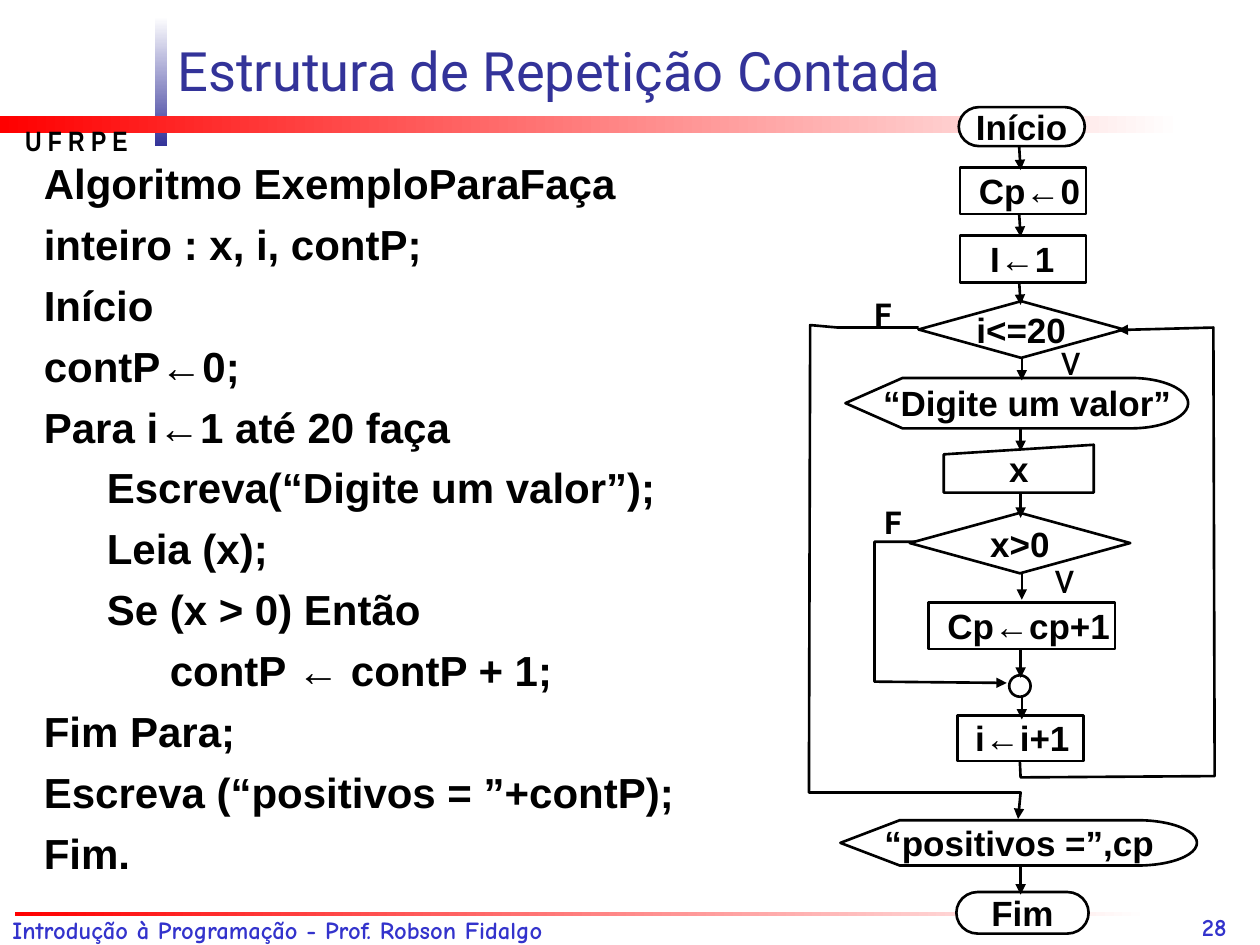
from lxml.etree import SubElement
from pptx import Presentation
from pptx.dml.color import RGBColor
from pptx.enum.shapes import MSO_CONNECTOR, MSO_SHAPE
from pptx.enum.text import MSO_ANCHOR, MSO_AUTO_SIZE, PP_ALIGN
from pptx.oxml.ns import qn
from pptx.util import Inches, Pt

# The slide is a grid of 100 columns by 75 rows
prs = Presentation()
prs.slide_width, prs.slide_height = Inches(10), Inches(7.5)
COL, ROW = prs.slide_width / 100, prs.slide_height / 75


def cols(n):
    return round(n * COL)


def rows(n):
    return round(n * ROW)


def place(x, y, w, h):
    return cols(x), rows(y), cols(w), rows(h)


def color(value):
    return RGBColor.from_string(value)


def style(p, size, font="Arial", fill="000000", bold=True):
    p.font.size, p.font.name, p.font.bold = Pt(size), font, bold
    p.font.color.rgb = color(fill)


def add_text(s, box, text, size, font="Arial", fill="000000", bold=True,
             wrap=False, anchor=MSO_ANCHOR.TOP):
    tf = s.shapes.add_textbox(*place(*box)).text_frame
    tf.word_wrap, tf.vertical_anchor = wrap, anchor
    if not wrap:
        tf.auto_size = MSO_AUTO_SIZE.SHAPE_TO_FIT_TEXT
    tf.text = text
    style(tf.paragraphs[0], size, font, fill, bold)


def add_bar(s, box, start, end, angle=0):
    sp = s.shapes.add_shape(MSO_SHAPE.RECTANGLE, *place(*box))
    sp.shadow.inherit = False
    sp.line.fill.background()
    sp.fill.gradient()
    sp.fill.gradient_angle = angle
    for stop, value in zip(sp.fill.gradient_stops, (start, end)):
        stop.color.rgb = color(value)


def arrow_line(sp):
    sp.line.color.rgb = color("000000")
    sp.line.width = Pt(1.5)
    SubElement(sp.line._get_or_add_ln(), qn("a:tailEnd"), type="triangle")


def add_arrow(s, x1, y1, x2, y2):
    sp = s.shapes.add_connector(MSO_CONNECTOR.STRAIGHT,
                                cols(x1), rows(y1), cols(x2), rows(y2))
    arrow_line(sp)
    SubElement(sp._element.spPr, qn("a:effectLst"))


def add_route(s, points):
    (x, y), *rest = [(cols(px), rows(py)) for px, py in points]
    builder = s.shapes.build_freeform(x, y)
    builder.add_line_segments(rest, close=False)
    sp = builder.convert_to_shape()
    sp.shadow.inherit = False
    sp.fill.background()
    arrow_line(sp)


def add_node(s, kind, box, text=""):
    sp = s.shapes.add_shape(kind, *place(*box))
    sp.shadow.inherit = False
    sp.fill.solid()
    sp.fill.fore_color.rgb = color("FFFFFF")
    sp.line.color.rgb = color("000000")
    sp.line.width = Pt(1.5)
    if text:
        tf = sp.text_frame
        tf.word_wrap, tf.vertical_anchor = False, MSO_ANCHOR.MIDDLE
        tf.text = text
        p = tf.paragraphs[0]
        p.alignment = PP_ALIGN.CENTER
        style(p, 20)


def header(s, x, y, w, h):
    add_bar(s, (x + 12.3, y, 1, h), "FFFFFF", "333399", 270)
    add_bar(s, (x, y + 7.9, w, 1.4), "FF0000", "FFFFFF")
    add_text(s, (x + 1, y + 8, 10.2, 3.7), "U F R P E", 16, "Arial Narrow")
    add_text(s, (x + 13.1, y + 0.5, 91.9, 6.8), "Estrutura de Repetição Contada",
             31, "Roboto", "333399", False, True, MSO_ANCHOR.BOTTOM)


def footer(s, x, y, w, h):
    look = dict(size=14, font="Comic Neue", fill="3333CC", wrap=True)
    add_text(s, (x, y + 1.9, 62.7, 3.4),
             "Introdução à Programação - Prof. Robson Fidalgo", **look)
    add_bar(s, (x + 1.2, y + 2.2, 90, 0.3), "FF0000", "FFFFFF")
    add_text(s, (x + w - 5.6, y, 8.3, h), "28", anchor=MSO_ANCHOR.BOTTOM, **look)


# Algorithm lines with their indent level
CODE = [
    (0, "Algoritmo ExemploParaFaça"), (0, "inteiro : x, i, contP;"),
    (0, "Início"), (0, "contP←0;"), (0, "Para i←1 até 20 faça"),
    (1, "Escreva(“Digite um valor”);"), (1, "Leia (x);"),
    (1, "Se (x > 0) Então"), (2, "contP ← contP + 1;"),
    (0, "Fim Para;"), (0, "Escreva (“positivos = ”+contP);"), (0, "Fim."),
]
HANGING = [(3.8, -3.8), (8.1, -3.1), (12.5, -2.5)]


def algorithm(s, *box):
    tf = s.shapes.add_textbox(*place(*box)).text_frame
    tf.word_wrap = True
    for i, (level, text) in enumerate(CODE):
        p = tf.add_paragraph() if i else tf.paragraphs[0]
        p.text, p.level, p.alignment = text, level, PP_ALIGN.JUSTIFY
        p.space_before = Pt(6)
        style(p, 24)
        margin, indent = HANGING[level]
        pPr = p._p.get_or_add_pPr()
        pPr.set("marL", str(cols(margin)))
        pPr.set("indent", str(cols(indent)))


# Flow steps: shape, box, text, caption (left, width) or None, arrow to the next
PROCESS, DECISION = MSO_SHAPE.FLOWCHART_PROCESS, MSO_SHAPE.FLOWCHART_DECISION
ENDING, DISPLAY = MSO_SHAPE.FLOWCHART_TERMINATOR, MSO_SHAPE.FLOWCHART_DISPLAY
STEPS = [
    (ENDING, (12.1, 0, 10, 3.1), "Início", None, (16.8, 1.7, 17, 5)),
    (PROCESS, (12.2, 4.8, 10, 3.7), "Cp←0", (12.7, 10.6), (16.8, 7.1, 17, 10.3)),
    (PROCESS, (12.2, 10.2, 10, 3.7), "I←1", (13.6, 7.1), (16.8, 12.5, 17, 15.7)),
    (DECISION, (8.9, 15.4, 16.3, 4.5), "i<=20", None, (17.1, 18.8, 17.1, 21.7)),
    (DISPLAY, (3.1, 21.5, 27.2, 4), "“Digite um valor”", (5.1, 24.9),
     (17, 24, 17, 27.3)),
    (MSO_SHAPE.FLOWCHART_MANUAL_INPUT, (10.9, 26.8, 11.9, 3.8), "x", (15.1, 3.5),
     (17, 29.2, 17, 32.6)),
    (DECISION, (8.2, 32.2, 17.5, 4.8), "x>0", None, (17.1, 35.8, 17.1, 39.1)),
    (PROCESS, (9.7, 39.3, 14.8, 3.7), "Cp←cp+1", (10.2, 14.9),
     (17, 41.9, 17, 45.3)),
    (MSO_SHAPE.FLOWCHART_CONNECTOR, (16.1, 45.1, 1.7, 1.7), "", None,
     (17.1, 45.3, 17.1, 48.6)),
    (PROCESS, (12, 48.3, 10, 3.6), "i←i+1", (12.4, 9.5), None),
    (DISPLAY, (2.7, 56.6, 28.3, 3.6), "“positivos =”,cp", (5.2, 23.4),
     (17, 59.8, 17, 62.5)),
    (ENDING, (11.9, 62.3, 10.5, 3.3), "Fim", None, None),
]
ROUTES = [
    # back to the loop test, past the increment, out of the loop
    [(16.9, 51.1), (17, 53.2), (32.4, 53.1), (32.3, 17.5), (24.7, 17.7)],
    [(9, 34.5), (5.4, 34.5), (5.4, 45.6), (15.9, 45.7)],
    [(8.9, 17.5), (2.5, 17.5), (0.3, 17.3), (0.2, 54.4), (17, 54.4), (16.8, 56.5)],
]
BRANCHES = [("F", 4.4, 14.4), ("F", 5.2, 30.9), ("v", 19.2, 17.5), ("v", 18.7, 34.8)]
CAPTION_ROWS = 4.4


def flowchart(s, x, y):
    for route in ROUTES:
        add_route(s, [(x + px, y + py) for px, py in route])
    # From the end up, so each arrow lies over its target and under its source
    for kind, (left, top, w, h), text, caption, arrow in reversed(STEPS):
        if arrow:
            x1, y1, x2, y2 = arrow
            add_arrow(s, x + x1, y + y1, x + x2, y + y2)
        add_node(s, kind, (x + left, y + top, w, h), "" if caption else text)
        if caption:
            middle = y + top + h / 2
            add_text(s, (x + caption[0], middle - CAPTION_ROWS / 2,
                         caption[1], CAPTION_ROWS), text, 20)
    for mark, left, top in BRANCHES:
        false = mark == "F"
        add_text(s, (x + left, y + top, 3.5, 4 if false else 5), mark,
                 18 if false else 24, "Roboto", bold=false)


s = prs.slides.add_slide(prs.slide_layouts[6])
header(s, 0, 1.3, 93.8, 10.3)
footer(s, 0, 70.2, 100, 5)
algorithm(s, 2.5, 12, 98.3, 69.7)
flowchart(s, 64, 8.5)
prs.save("out.pptx")
